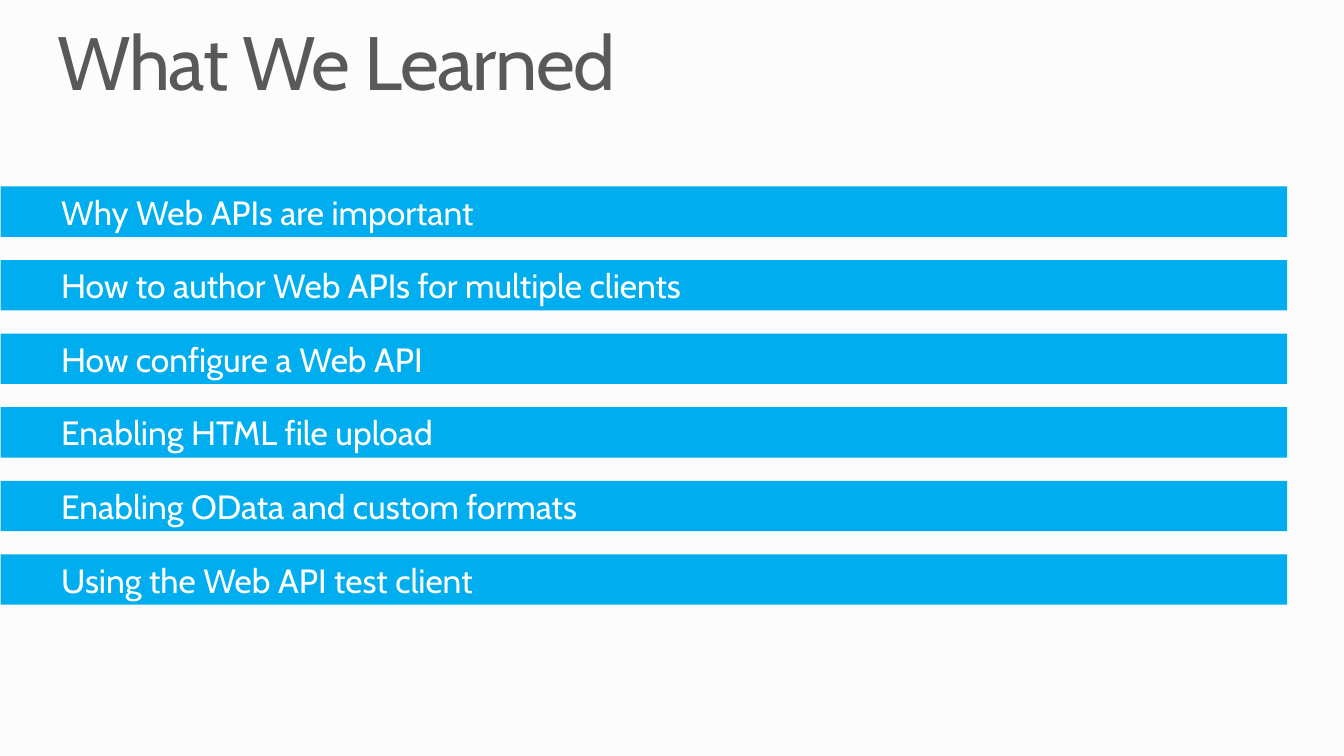
from pptx import Presentation
from pptx.dml.color import RGBColor
from pptx.enum.shapes import MSO_SHAPE
from pptx.enum.text import MSO_ANCHOR, PP_ALIGN
from pptx.util import Pt

TOPICS = [
    "Why Web APIs are important",
    "How to author Web APIs for multiple clients",
    "How configure a Web API",
    "Enabling HTML file upload",
    "Enabling OData and custom formats",
    "Using the Web API test client",
]


def paint(fill, color):
    fill.solid()
    fill.fore_color.rgb = RGBColor.from_string(color)


def write(s, text, size, color, margins, anchor, **para_format):
    tf = s.text_frame
    tf.word_wrap = True
    tf.vertical_anchor = anchor
    for side, margin in zip(("left", "top", "right", "bottom"), margins):
        setattr(tf, f"margin_{side}", Pt(margin))
    p = tf.paragraphs[0]
    for name, value in {"alignment": PP_ALIGN.LEFT, **para_format}.items():
        setattr(p, name, value)
    r = p.add_run()
    r.text = text
    for name, value in {"name": "Cabin", "size": Pt(size)}.items():
        setattr(r.font, name, value)
    paint(r.font.fill, color)
    return r


def add_title(slide, text, left, top, width, height):
    s = slide.shapes.add_textbox(Pt(left), Pt(top), Pt(width), Pt(height))
    r = write(s, text, 54, "595959", (0, 0, 0, 0), MSO_ANCHOR.TOP, line_spacing=0.9)
    # Tighten the letters by one point
    r.font._element.set("spc", "-100")


def add_topic_bars(slide, topics, left, top, width, height, bar_height=36):
    pitch = (height - bar_height) / (len(topics) - 1)
    for i, topic in enumerate(topics):
        s = slide.shapes.add_shape(MSO_SHAPE.RECTANGLE, Pt(left), Pt(top + i * pitch),
                                   Pt(width), Pt(bar_height))
        s.shadow.inherit = False
        paint(s.fill, "00AEEF")
        s.line.fill.background()
        write(s, topic, 24, "FFFFFF", (43.2, 3.6, 7.2, 3.6), MSO_ANCHOR.MIDDLE,
              space_after=Pt(12))


def main():
    prs = Presentation()
    prs.slide_width, prs.slide_height = Pt(960), Pt(540)
    slide = prs.slides.add_slide(prs.slide_layouts[6])
    paint(slide.background.fill, "FCFCFC")
    add_title(slide, "What We Learned", 41, 18, 878, 59)
    add_topic_bars(slide, TOPICS, 0.5, 133.2, 919, 298.8)
    prs.save("out.pptx")


if __name__ == "__main__":
    main()
